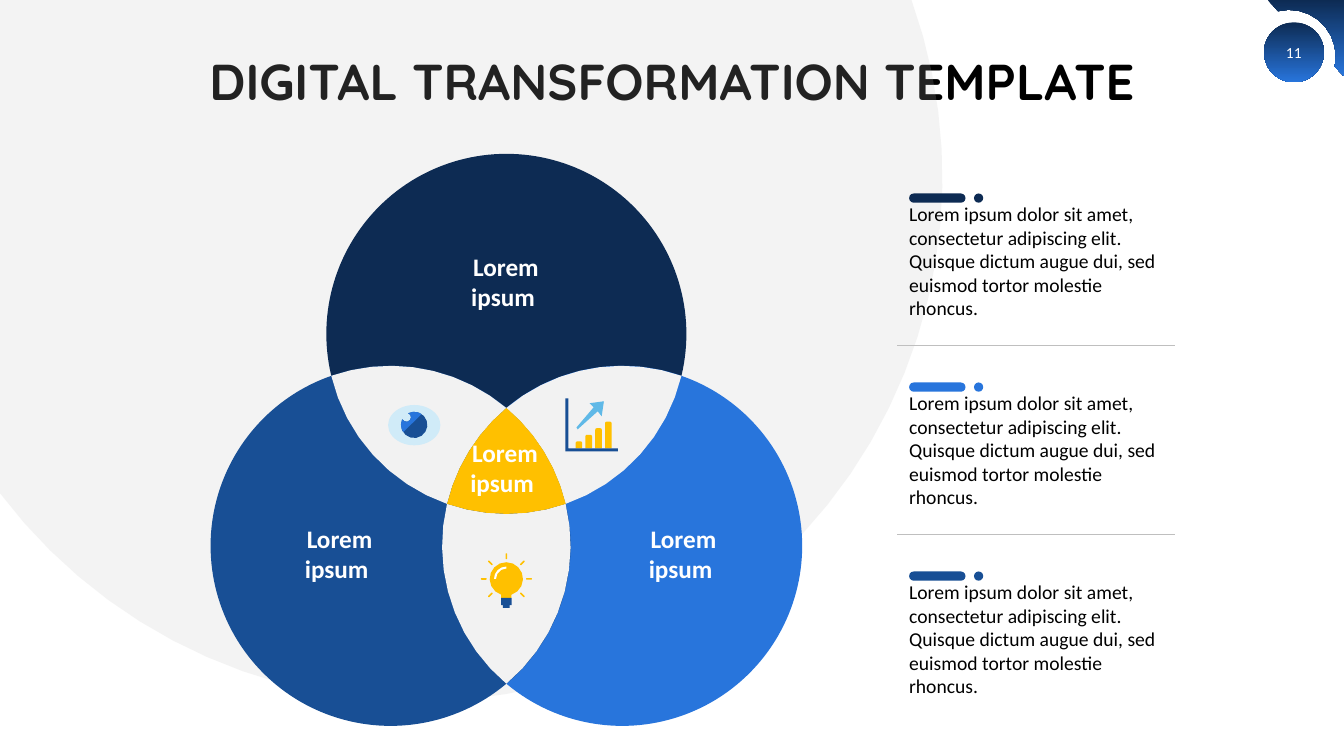
"""Build the Digital Transformation slide with a three-circle Venn diagram."""
from math import atan2, ceil, cos, hypot, radians, sin, sqrt, tau

from lxml.etree import SubElement
from pptx import Presentation
from pptx.dml.color import RGBColor
from pptx.enum.shapes import MSO_CONNECTOR, MSO_SHAPE
from pptx.enum.text import MSO_ANCHOR, MSO_AUTO_SIZE, PP_ALIGN
from pptx.oxml.ns import qn
from pptx.util import Pt

NAVY = RGBColor(0x0D, 0x2B, 0x53)
BLUE = RGBColor(0x28, 0x75, 0xDC)
MID_BLUE = RGBColor(0x18, 0x4F, 0x95)
SKY = RGBColor(0x60, 0xB9, 0xE7)
PALE_BLUE = RGBColor(0xD0, 0xEB, 0xF8)
GOLD = RGBColor(0xFF, 0xC0, 0x00)
LIGHT_GRAY = RGBColor(0xF2, 0xF2, 0xF2)
GRAY = RGBColor(0xBF, 0xBF, 0xBF)
WHITE = RGBColor(0xFF, 0xFF, 0xFF)
BLACK = RGBColor(0, 0, 0)

TITLE = "DIGITAL TRANSFORMATION TEMPLATE"
PAGE_NUMBER = "11"
CARD_TEXT = ("Lorem ipsum dolor sit amet, consectetur adipiscing elit. "
             "Quisque dictum augue dui, sed euismod tortor molestie rhoncus.")
CARD_COLORS = [NAVY, BLUE, MID_BLUE]
CARD_LEFT, CARD_TOP, CARD_STEP = 649.4, 138.2, 135
LABEL_TEXT = "Lorem ipsum "
LABEL_POSITIONS = [(318.2, 175.7), (199.4, 370.1), (445, 370.1), (317.5, 308.9)]

CIRCLES = [(361.7, 238.5), (444.4, 389.9), (279, 389.9)]
CIRCLE_COLORS = [NAVY, BLUE, MID_BLUE]
RADIUS = 128.6

presentation = Presentation()
presentation.slide_width, presentation.slide_height = Pt(960), Pt(540)
slide = presentation.slides.add_slide(presentation.slide_layouts[5])
shapes = slide.shapes


def arc(center, start, end, clockwise=True):
    """Return points on the arc around center from start to end."""
    (x, y), turn = center, 1 if clockwise else -1
    first, last = (atan2(py - y, px - x) for px, py in (start, end))
    near, far = (hypot(px - x, py - y) for px, py in (start, end))
    sweep = (last - first) * turn % tau
    steps = ceil(sweep * sqrt(near) * 0.7)
    points = []
    for step in range(steps + 1):
        part = step / steps
        angle, radius = first + turn * sweep * part, near + (far - near) * part
        points.append((x + radius * cos(angle), y + radius * sin(angle)))
    return points


def finish(shape, color):
    """Give a shape a plain or gradient fill, no line and no shadow."""
    shape.shadow.inherit = False
    shape.line.fill.background()
    if color is None:
        shape.fill.gradient()
        shape.fill.gradient_angle = 270
        for stop, stop_color in zip(shape.fill.gradient_stops, (NAVY, BLUE)):
            stop.color.rgb = stop_color
    else:
        shape.fill.solid()
        shape.fill.fore_color.rgb = color
    return shape


def add_outline(points, color=None):
    """Draw a closed outline through points."""
    vertices = [(Pt(x), Pt(y)) for x, y in points]
    builder = shapes.build_freeform(*vertices[0], scale=1.0)
    builder.add_line_segments(vertices[1:], close=True)
    return finish(builder.convert_to_shape(), color)


def add_preset(kind, left, top, width, height, color=None):
    """Draw a preset shape."""
    return finish(shapes.add_shape(kind, Pt(left), Pt(top), Pt(width), Pt(height)), color)


def write(shape, text, size, color, font="Calibri", bold=False, align=PP_ALIGN.CENTER):
    """Write one formatted paragraph and return its text frame."""
    frame = shape.text_frame
    frame.word_wrap = True
    frame.text = text
    paragraph = frame.paragraphs[0]
    paragraph.alignment = align
    paragraph.font.size, paragraph.font.name = Pt(size), font
    paragraph.font.bold, paragraph.font.color.rgb = bold, color
    return frame


def add_text(left, top, width, height, *args, **kwargs):
    """Add a text box and return its text frame."""
    box = shapes.add_textbox(Pt(left), Pt(top), Pt(width), Pt(height))
    return write(box, *args, **kwargs)


def crossings(first, second):
    """Return the inner and outer crossing of two Venn circles."""
    (x1, y1), (x2, y2) = first, second
    distance = hypot(x2 - x1, y2 - y1)
    reach = sqrt(RADIUS ** 2 - distance ** 2 / 4) / distance
    mid_x, mid_y = (x1 + x2) / 2, (y1 + y2) / 2
    dx, dy = (y1 - y2) * reach, (x2 - x1) * reach
    return (mid_x + dx, mid_y + dy), (mid_x - dx, mid_y - dy)


def draw_backdrop():
    """Draw the large disc and the page number corner."""
    disc = add_outline([(0, 0)] + arc((298.8, 126.7), (651.1, 0), (0, 352.3)), GRAY)
    color = disc.fill._xPr.find(qn("a:solidFill"))[0]
    SubElement(color, qn("a:alpha"), val="18000")
    add_outline([(960, 54.5), (960, 0), (905.5, 0)]
                + arc((920.8, 40.2), (912.9, 8), (953.4, 47.5)))
    add_preset(MSO_SHAPE.OVAL, 902.9, 16, 42.8, 42.8)


def draw_cards():
    """Draw the text cards and the lines between them."""
    for index, color in enumerate(CARD_COLORS):
        top = CARD_TOP + index * CARD_STEP
        frame = add_text(CARD_LEFT, top + 14.4, 190, 67.7, CARD_TEXT, 14, BLACK,
                         align=PP_ALIGN.LEFT)
        frame.margin_left = frame.margin_right = frame.margin_top = frame.margin_bottom = 0
        frame.vertical_anchor = MSO_ANCHOR.MIDDLE
        frame.auto_size = MSO_AUTO_SIZE.SHAPE_TO_FIT_TEXT
        dash = add_preset(MSO_SHAPE.ROUNDED_RECTANGLE, CARD_LEFT, top, 40.3, 6.6, color)
        dash.adjustments[0] = 0.5
        add_preset(MSO_SHAPE.OVAL, CARD_LEFT + 46.3, top, 6.6, 6.6, color)
        if index:
            y = Pt(top - 26.4)
            line = shapes.add_connector(MSO_CONNECTOR.STRAIGHT, Pt(640.8), y, Pt(839.5), y)
            line.line.color.rgb, line.line.width = GRAY, Pt(0.5)
            SubElement(line._element.spPr, qn("a:effectLst"))


def draw_venn():
    """Draw the circles, their overlaps and the labels."""
    for (x, y), color in zip(CIRCLES, CIRCLE_COLORS):
        add_preset(MSO_SHAPE.OVAL, x - RADIUS, y - RADIUS, 2 * RADIUS, 2 * RADIUS, color)
    center_points = []
    for index in range(3):
        here, after, before = (CIRCLES[(index + shift) % 3] for shift in range(3))
        inner_after, outer_after = crossings(here, after)
        inner_across, _ = crossings(after, before)
        inner_before, _ = crossings(before, here)
        add_outline(arc(here, outer_after, inner_before)
                    + arc(before, inner_before, inner_across, False)
                    + arc(after, inner_across, outer_after), LIGHT_GRAY)
        center_points += arc(here, inner_before, inner_after)
    add_outline(center_points, GOLD)
    for left, top in LABEL_POSITIONS:
        frame = add_text(left, top, 86.4, 51.1, LABEL_TEXT, 18, WHITE, bold=True)
        frame.auto_size = MSO_AUTO_SIZE.SHAPE_TO_FIT_TEXT


def draw_eye():
    """Draw the eye icon."""
    iris, notch_top, notch_side = (295.9, 303.5), (291.6, 295.2), (287.3, 299.5)
    notch = arc((290.5, 297.9), notch_side, notch_top, False)
    add_preset(MSO_SHAPE.OVAL, 277.2, 289.3, 37.4, 28.8, PALE_BLUE)
    add_outline(arc(iris, notch_top, notch_side) + notch, MID_BLUE)
    add_outline(arc(iris, notch_top, (301.2, 295.8))
                + arc(iris, (288, 308.7), notch_side) + notch, BLUE)


def draw_growth_chart():
    """Draw the growth chart icon."""
    for index in range(4):
        height = 5 + 4.7 * index
        bar = add_preset(MSO_SHAPE.ROUND_2_SAME_RECTANGLE, 411.2 + 7 * index,
                         320.3 - height, 4.7, height, GOLD)
        bar.adjustments[0] = 0.25
    add_outline([(403.8, 284.6), (406.1, 284.6), (406.1, 320.3), (441.4, 320.3),
                 (441.4, 322.5), (403.8, 322.5)], MID_BLUE)
    add_outline([(429.8, 297.4), (431.4, 286.6), (421.2, 288), (424.1, 290.9),
                 (411.8, 305.3), (412.6, 306.7), (427, 293.8)], SKY)


def draw_bulb():
    """Draw the light bulb icon."""
    x, y = 361.7, 413.5
    add_outline(arc((x, y), (x - 3.7, y + 11.3), (x + 3.7, y + 11.3))
                + [(x + 3.7, 427), (x - 3.7, 427)], GOLD)
    for angle in range(135, 406, 45):
        ray_x, ray_y = x + 16.2 * cos(radians(angle)), y + 16.2 * sin(radians(angle))
        ray = add_preset(MSO_SHAPE.ROUNDED_RECTANGLE, ray_x - 2.1, ray_y - 0.6, 4.2, 1.2, GOLD)
        ray.adjustments[0], ray.rotation = 0.5, angle
    add_outline(arc((x, y), (x - 8.8, y), (x, y - 8.8))
                + arc((x, y), (x, y - 7.4), (x - 7.4, y), False), WHITE)
    add_outline([(x - 3.7, 427), (x - 3.7, 432.2), (x - 2.4, 432.2), (x - 2.4, 434.2),
                 (x + 2.4, 434.2), (x + 2.4, 432.2), (x + 3.7, 432.2), (x + 3.7, 427)], MID_BLUE)


draw_backdrop()
title = shapes.title
title.left, title.top, title.width, title.height = Pt(66), Pt(28.8), Pt(828), Pt(62)
title_frame = write(title, TITLE, 36, BLACK, "Quicksand", True)
title_frame.vertical_anchor, title_frame.auto_size = MSO_ANCHOR.MIDDLE, MSO_AUTO_SIZE.NONE
title_frame.paragraphs[0].line_spacing = 0.9
add_text(909.4, 23, 29.5, 28.8, PAGE_NUMBER, 11, WHITE).vertical_anchor = MSO_ANCHOR.MIDDLE
draw_cards()
draw_venn()
draw_eye()
draw_growth_chart()
draw_bulb()
presentation.save("out.pptx")
